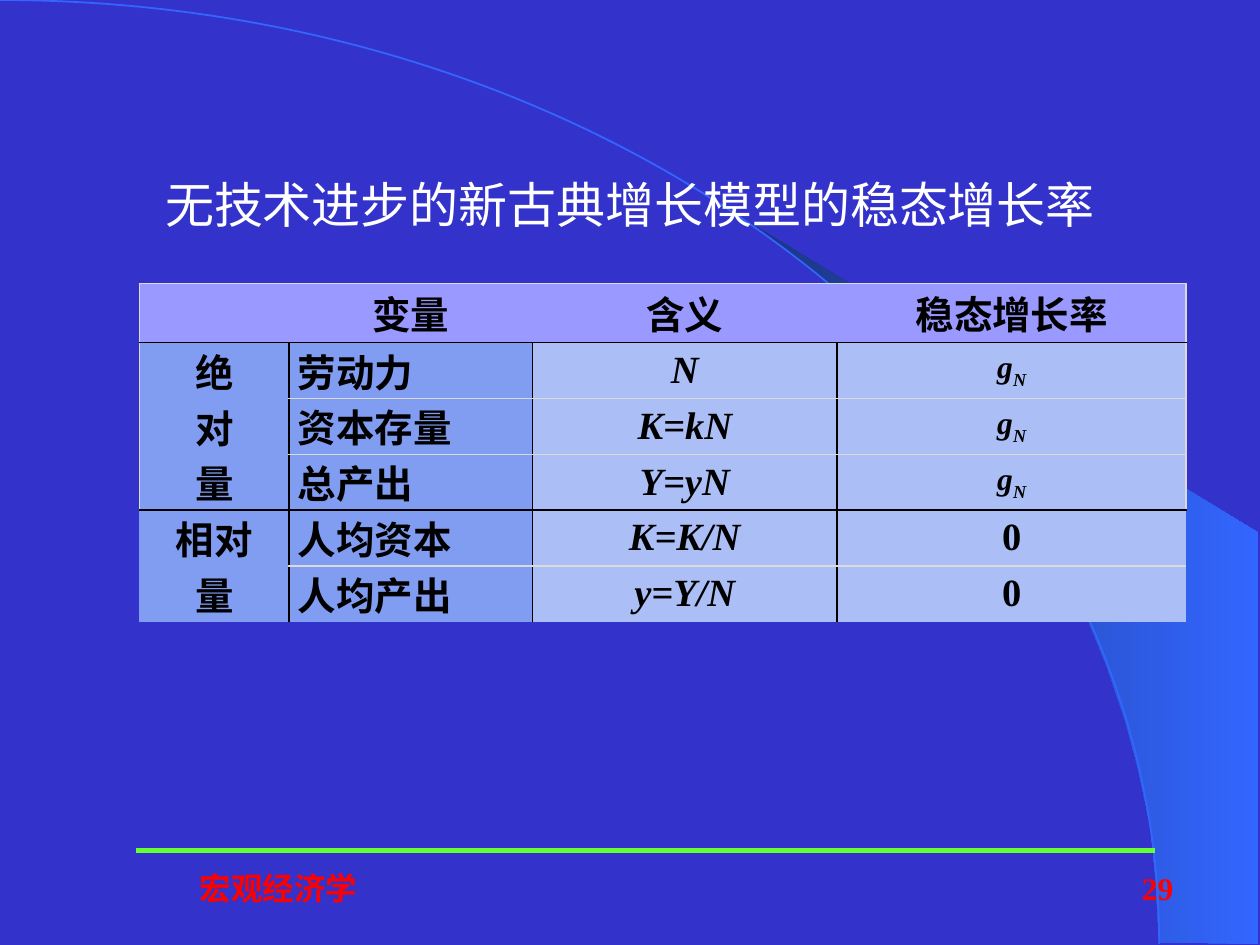
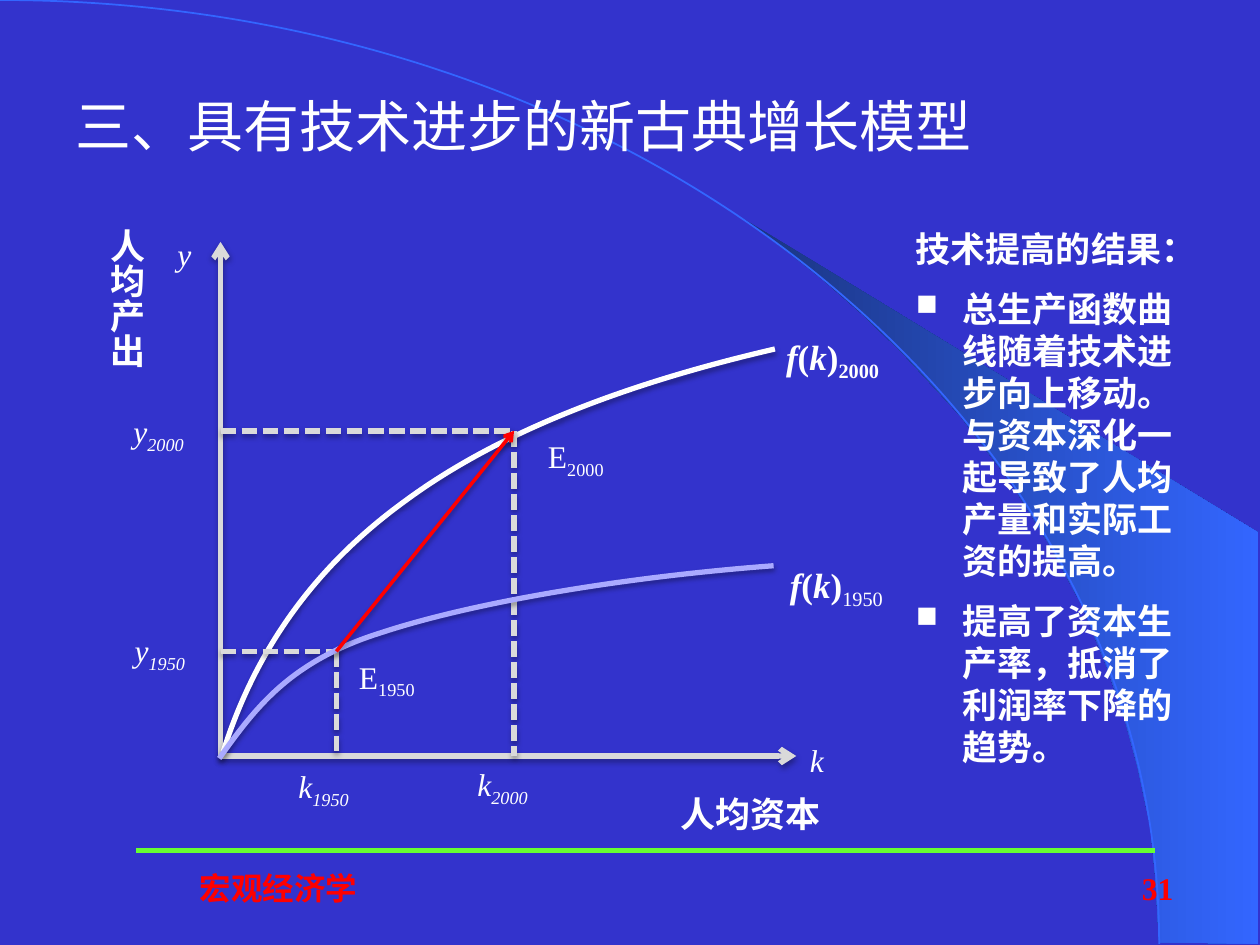
"""Builds two lecture slides on steady-state growth in the neoclassical model."""
from dataclasses import dataclass
from typing import Optional

from lxml import etree
from pptx import Presentation
from pptx import util as u
from pptx.dml.color import RGBColor
from pptx.enum import dml, shapes, text
from pptx.oxml import ns

SLIDE_WIDTH, SLIDE_HEIGHT = u.Inches(10), u.Inches(7.5)
GRID_COLUMNS = 100
BLUE, SKY, DEEP = "3333CC", "3366FF", "1A3480"
WHITE, BLACK, GREY, RED, GREEN, LILAC = "FFFFFF", "000000", "DADADA", "FF0000", "66FF33", "AAAAFF"
HEADER_FILL, NAME_FILL, VALUE_FILL = "9999FF", "819DF1", "ABBEF5"
SERIF, CJK = "Times New Roman", "Noto Sans CJK SC"
LEFT, CENTER, RIGHT = text.PP_ALIGN.LEFT, text.PP_ALIGN.CENTER, text.PP_ALIGN.RIGHT
JUSTIFY, MIDDLE, TOP = text.PP_ALIGN.JUSTIFY, text.MSO_ANCHOR.MIDDLE, text.MSO_ANCHOR.TOP
Point = tuple[float, float]


@dataclass(frozen=True)
class Style:
    size: float = 18
    font: str = SERIF
    color: str = WHITE
    bold: bool = False
    italic: bool = False
    subscript: bool = False


@dataclass(frozen=True)
class Span:
    words: str
    style: Style


@dataclass(frozen=True)
class Area:
    column: float
    row: float
    columns: float
    rows: float


@dataclass(frozen=True)
class Label:
    spans: list[Span]
    area: Area


@dataclass(frozen=True)
class Line:
    start: Point
    end: Point
    color: str = GREY
    width: float = 3
    dashed: bool = False
    arrow: bool = False


@dataclass(frozen=True)
class Curve:
    points: list[Point]
    color: str


PLAIN = Style()
ITALIC = Style(italic=True)
FOOTER = Style(color=RED, bold=True)
HEADING = Style(20, CJK, bold=True)
CELL = Style(22, color=BLACK, bold=True)
CELL_ITALIC = Style(22, color=BLACK, bold=True, italic=True)


def grid(units: float) -> int:
    """Convert grid units to a length."""
    return round(SLIDE_WIDTH * units / GRID_COLUMNS)


def color_of(value: str) -> RGBColor:
    """Read a hex colour."""
    return RGBColor.from_string(value)


def add_xml(parent, tag: str, **attributes: str):
    """Append a drawing element and return it."""
    return etree.SubElement(parent, ns.qn(tag), attributes)


def bounds(area: Area) -> list[int]:
    """Give left, top, width and height."""
    return [grid(v) for v in (area.column, area.row, area.columns, area.rows)]


def format_run(run, style: Style) -> None:
    """Apply a text style to one run."""
    font = run.font
    font.size, font.name = u.Pt(style.size), style.font
    font.bold, font.italic = style.bold, style.italic
    font.color.rgb = color_of(style.color)
    properties = run._r.get_or_add_rPr()
    add_xml(properties, "a:ea", typeface=CJK)
    if style.subscript:
        properties.set("baseline", "-25000")


def write(frame, words: str, style: Style, align=LEFT) -> None:
    """Fill a text frame with uniformly styled paragraphs."""
    frame.text = words
    for para in frame.paragraphs:
        para.alignment = align
        for run in para.runs:
            format_run(run, style)


def write_spans(para, spans: list[Span]) -> None:
    """Add differently styled runs to a paragraph."""
    for span in spans:
        run = para.add_run()
        run.text = span.words
        format_run(run, span.style)


def add_box(slide, area: Area, words: str = "", style: Style = PLAIN, align=LEFT, anchor=TOP):
    """Add a wrapping text box."""
    frame = slide.shapes.add_textbox(*bounds(area)).text_frame
    frame.word_wrap, frame.vertical_anchor = True, anchor
    write(frame, words, style, align)
    return frame


def set_effect(shape, shadow: bool) -> None:
    """Give a shape a soft drop shadow or none."""
    effects = add_xml(shape._element.spPr, "a:effectLst")
    if shadow:
        outer = add_xml(effects, "a:outerShdw", blurRad="39370", dist="22860",
                        dir="5400000", rotWithShape="0")
        add_xml(add_xml(outer, "a:srgbClr", val=BLACK), "a:alpha", val="35000")


def add_line(slide, line: Line, shadow: bool = True) -> None:
    """Draw a straight line or arrow."""
    ends = [grid(v) for v in (*line.start, *line.end)]
    connector = slide.shapes.add_connector(shapes.MSO_CONNECTOR.STRAIGHT, *ends)
    connector.line.color.rgb = color_of(line.color)
    connector.line.width = u.Pt(line.width)
    if line.dashed:
        connector.line.dash_style = dml.MSO_LINE.SQUARE_DOT
    if line.arrow:
        add_xml(connector.line._get_or_add_ln(), "a:tailEnd", type="arrow")
    set_effect(connector, shadow)


def add_outline(slide, points: list[Point], close: bool):
    """Draw a freeform through the points."""
    start, *rest = [(grid(x), grid(y)) for x, y in points]
    builder = slide.shapes.build_freeform(*start, scale=1.0)
    builder.add_line_segments(rest, close=close)
    return builder.convert_to_shape()


def add_curve(slide, curve: Curve, width: float = 3, shadow: bool = True) -> None:
    """Draw an unfilled chain of cubic curves."""
    shape = add_outline(slide, curve.points, False)
    segments = list(shape._element.iter(ns.qn("a:lnTo")))
    outline = segments[0].getparent()
    for first in range(0, len(segments), 3):
        cubic = add_xml(outline, "a:cubicBezTo")
        for segment in segments[first:first + 3]:
            cubic.append(segment[0])
            outline.remove(segment)
    shape.fill.background()
    shape.line.color.rgb, shape.line.width = color_of(curve.color), u.Pt(width)
    set_effect(shape, shadow)


def add_page(deck, number: str):
    """Add a slide with the shared backdrop and footer."""
    page = deck.slides.add_slide(deck.slide_layouts[5])
    page.background.fill.solid()
    page.background.fill.fore_color.rgb = color_of(BLUE)
    beam = add_outline(page, [
        (92, 74.8), (99.9, 74.9), (99.9, 42.3), (58.9, 17.3), (62.4, 19.9), (65.3, 22.2),
        (68.5, 25), (71.6, 28), (76.2, 33), (80.3, 38.4), (83.2, 43.1), (85.8, 47.9),
        (87.8, 52.8), (89.3, 57.2), (90.3, 60.9), (91.3, 65.6), (91.7, 69.6)], True)
    beam.fill.gradient()
    beam.fill.gradient_angle = 0
    for stop, color in zip(beam.fill.gradient_stops, (DEEP, SKY)):
        stop.color.rgb = color_of(color)
    beam.line.fill.background()
    beam.shadow.inherit = False
    add_curve(page, Curve([(0, 0), (50.8, 0), (92, 33.5), (92, 74.9)], SKY), 1, False)
    add_line(page, Line((10.8, 67.5), (91.7, 67.5), GREEN), False)
    add_box(page, Area(4.2, 68, 35.8, 5), "宏观经济学", FOOTER, CENTER, MIDDLE)
    add_box(page, Area(73.3, 68, 20.8, 5), number, FOOTER, RIGHT, MIDDLE)
    return page


def add_title(page, words: str, area: Area, style: Style, align) -> None:
    """Place the title in front of the backdrop."""
    title = page.shapes.title
    title.left, title.top, title.width, title.height = bounds(area)
    frame = title.text_frame
    frame.auto_size, frame.vertical_anchor = text.MSO_AUTO_SIZE.NONE, MIDDLE
    write(frame, words, style, align)
    page.shapes.element.append(title.element)


def row_rule(edge: int) -> Optional[str]:
    """Colour of a horizontal table rule."""
    return (GREY, BLACK, GREY, GREY, BLACK, GREY, None)[edge]


def column_rule(edge: int, row: int) -> Optional[str]:
    """Colour of a vertical table rule."""
    if edge in (0, 4):
        return GREY if row < 4 else None
    return BLACK if row else None


def set_borders(cell, row: int, column: int) -> None:
    """Draw the four borders of a table cell."""
    height = cell.span_height if cell.is_merge_origin else 1
    sides = {"a:lnL": column_rule(column, row), "a:lnR": column_rule(column + 1, row),
             "a:lnT": None if cell.is_spanned else row_rule(row),
             "a:lnB": None if cell.is_spanned else row_rule(row + height)}
    properties = cell._tc.get_or_add_tcPr()
    for index, (tag, color) in enumerate(sides.items()):
        border = add_xml(properties, tag, w="12700")
        if color:
            add_xml(add_xml(border, "a:solidFill"), "a:srgbClr", val=color)
        else:
            add_xml(border, "a:noFill")
        properties.insert(index, border)


def add_growth_table(page) -> None:
    """Add the table of steady-state growth rates."""
    rows = [("", "变量", "含义", "稳态增长率"),
            ("绝\n对\n量", "劳动力", "N", "g"), ("", "资本存量", "K=kN", "g"),
            ("", "总产出", "Y=yN", "g"),
            ("相对\n量", "人均资本", "K=K/N", "0"), ("", "人均产出", "y=Y/N", "0")]
    table = page.shapes.add_table(6, 4, *bounds(Area(11.05, 22.5, 83.1, 26.85))).table
    table.first_row = table.horz_banding = False
    for column, width in zip(table.columns, (11.9, 19.3, 24.2, 27.7)):
        column.width = grid(width)
    for index, row in enumerate(table.rows):
        row.height = grid(4.43 if index else 4.7)
    table.cell(1, 0).merge(table.cell(3, 0))
    table.cell(4, 0).merge(table.cell(5, 0))
    for row, entries in enumerate(rows):
        for column, words in enumerate(entries):
            cell = table.cell(row, column)
            named = row > 0 and column == 1
            cell.margin_left = cell.margin_right = grid(0.7)
            cell.margin_top = cell.margin_bottom = 0
            cell.vertical_anchor = TOP if named else MIDDLE
            style = CELL_ITALIC if row and column == 2 else CELL
            if words == "g":
                para = cell.text_frame.paragraphs[0]
                para.alignment = CENTER
                write_spans(para, [
                    Span("g", Style(18, color=BLACK, bold=True, italic=True)),
                    Span("N", Style(18, color=BLACK, bold=True, italic=True, subscript=True))])
            elif words:
                write(cell.text_frame, words, style, JUSTIFY if named else CENTER)
            cell.fill.solid()
            fill = NAME_FILL if column < 2 else VALUE_FILL
            cell.fill.fore_color.rgb = color_of(fill if row else HEADER_FILL)
            set_borders(cell, row, column)


def indexed(letter: str, year: str, italic: bool = True) -> list[Span]:
    """Spans of a letter with a year below the line."""
    return [Span(letter, Style(italic=italic)), Span(year, Style(italic=italic, subscript=True))]


def function_name(year: str, bold: bool) -> list[Span]:
    """Spans naming the production function of a year."""
    upright, slanted = Style(20, bold=True), Style(20, bold=True, italic=True)
    return [Span("f", slanted), Span("(", upright), Span("k", slanted), Span(")", upright),
            Span(year, Style(20, bold=bold, subscript=True))]


def add_growth_diagram(page) -> None:
    """Draw the axes, both production functions and their labels."""
    early, late = (26.7, 51.7), (40.8, 34.2)
    origin_x, origin_y = 17.5, 60
    add_line(page, Line((origin_x, origin_y), (origin_x, 19.2), arrow=True))
    add_line(page, Line((origin_x, origin_y), (63.2, origin_y), arrow=True))
    add_curve(page, Curve([(17.7, 59.7), (20.2, 51.8), (24.8, 45.1), (32.1, 39.8),
                           (39.4, 34.4), (49.4, 30.5), (61.5, 27.7)], WHITE))
    for x, y in (late, early):
        add_line(page, Line((origin_x, y), (x, y), dashed=True))
        add_line(page, Line((x, y), (x, origin_y), dashed=True))
    add_curve(page, Curve([(17.4, 60.2), (20.2, 56.3), (22.9, 52.5), (30.3, 50.2),
                           (37.6, 47.8), (49.5, 45.8), (61.4, 44.9)], LILAC))
    add_line(page, Line(early, late, RED, 2, arrow=True))
    for label in (
            Label([Span("k", ITALIC)], Area(63.3, 58.3, 9.2, 4)),
            Label([Span("y", ITALIC)], Area(13.1, 18.2, 8.3, 4)),
            Label(function_name("2000", True), Area(61.4, 26.1, 12.5, 4.4)),
            Label(function_name("1950", False), Area(61.7, 44.2, 11.7, 4.4)),
            Label(indexed("E", "1950", False), Area(27.5, 51.7, 9.2, 4)),
            Label(indexed("E", "2000", False), Area(42.5, 34.2, 10.8, 4)),
            Label(indexed("y", "2000"), Area(9.6, 32.2, 8.3, 4)),
            Label(indexed("y", "1950"), Area(9.7, 49.6, 8.3, 4)),
            Label(indexed("k", "2000"), Area(36.9, 60.2, 8.3, 4)),
            Label(indexed("k", "1950"), Area(22.7, 60.4, 8.3, 4))):
        write_spans(add_box(page, label.area).paragraphs[0], label.spans)
    across = add_box(page, Area(45, 62.4, 29.2, 4.4), "人均资本", HEADING, CENTER)
    upward = add_box(page, Area(6.8, 17.15, 5.4, 32.5), "人均产出", HEADING)
    upward._txBody.bodyPr.set("vert", "eaVert")
    for frame in (across, upward):
        frame.paragraphs[0].line_spacing = u.Pt(24)


def add_findings(page) -> None:
    """Add the bulleted results beside the diagram."""
    frame = add_box(page, Area(71.7, 17.6, 24, 44.8), "\n".join((
        "技术提高的结果：",
        "总生产函数曲线随着技术进步向上移动。与资本深化一起导致了人均产量和实际工资的提高。",
        "提高了资本生产率，抵消了利润率下降的趋势。")), HEADING)
    for index, para in enumerate(frame.paragraphs):
        para.line_spacing = u.Pt(24)
        if index:
            para.space_before = u.Pt(10)
            properties = para._p.get_or_add_pPr()
            properties.set("marL", str(grid(3.7)))
            properties.set("indent", str(-grid(3.7)))
            add_xml(properties, "a:buSzPct", val="85000")
            add_xml(properties, "a:buChar", char="■")


def main() -> None:
    """Build and save the deck."""
    deck = Presentation()
    deck.slide_width, deck.slide_height = SLIDE_WIDTH, SLIDE_HEIGHT
    page = add_page(deck, "29")
    add_growth_table(page)
    add_title(page, "无技术进步的新古典增长模型的稳态增长率", Area(7.5, 9.95, 85, 12.5),
              Style(28, CJK), CENTER)
    page = add_page(deck, "31")
    add_growth_diagram(page)
    add_findings(page)
    add_title(page, "三、具有技术进步的新古典增长模型", Area(5, 5.2, 90, 9.4), Style(32), LEFT)
    deck.save("out.pptx")


if __name__ == "__main__":
    main()
